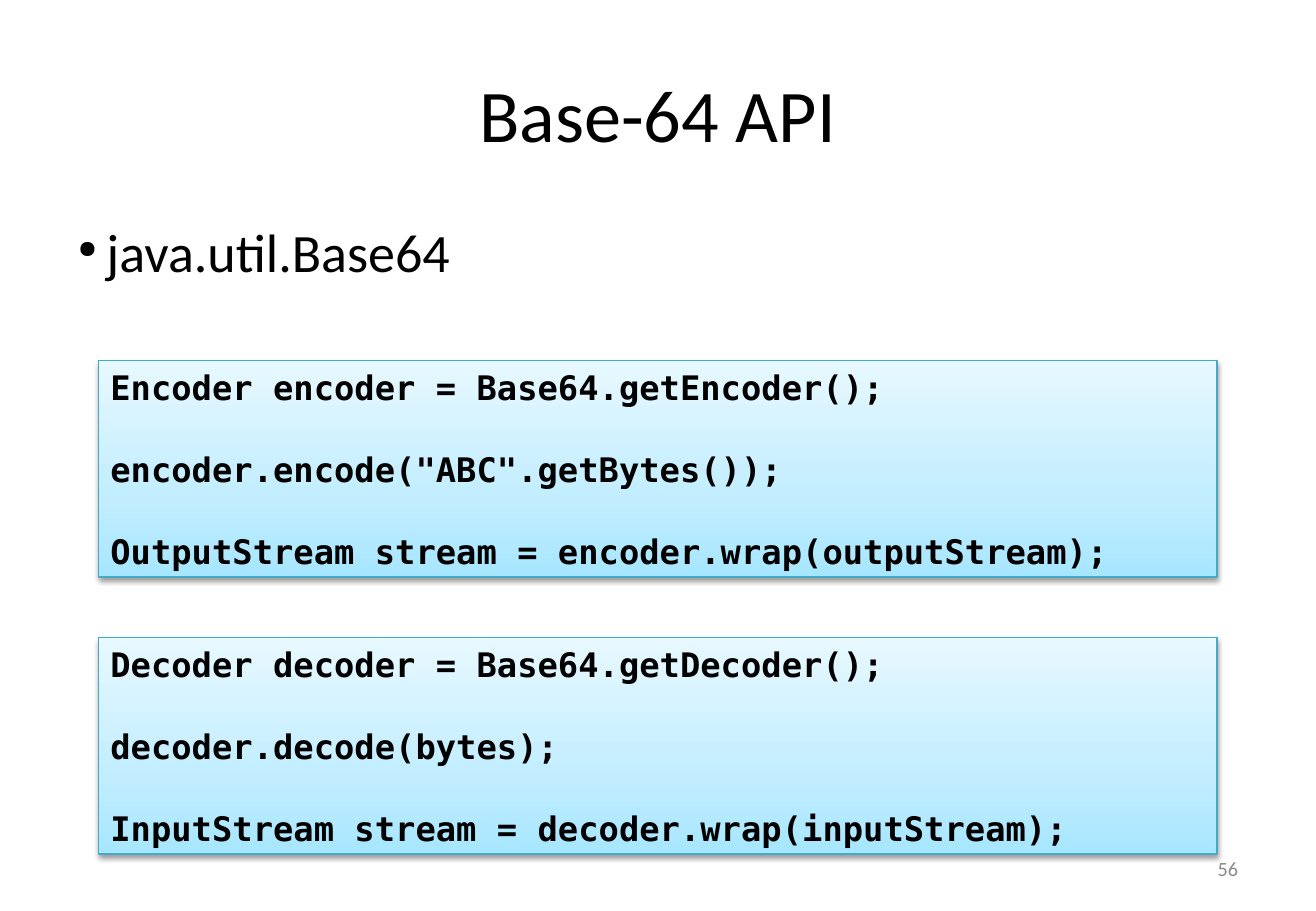
from lxml import etree
from pptx import Presentation
from pptx.dml.color import RGBColor
from pptx.enum import shapes, text
from pptx.oxml import parse_xml
from pptx.util import Pt

NS = 'xmlns:a="http://schemas.openxmlformats.org/drawingml/2006/main"'


def rgb(value):
    return RGBColor.from_string(value)


def write(p, content, color="000000", **font):
    r = p.add_run()
    r.text = content
    r.font.color.rgb = rgb(color)
    for name, value in font.items():
        setattr(r.font, name, value)


prs = Presentation()
prs.slide_width, prs.slide_height = Pt(780), Pt(540)
s = prs.slides.add_slide(prs.slide_layouts[5])

title = s.shapes.title
title.left, title.top, title.width, title.height = Pt(39), Pt(21.6), Pt(702), Pt(90)
title.text_frame.vertical_anchor = text.MSO_ANCHOR.MIDDLE
p = title.text_frame.paragraphs[0]
p.alignment = text.PP_ALIGN.CENTER
write(p, "Base-64 API", size=Pt(44), name="Calibri")

body = s.shapes.add_textbox(Pt(39), Pt(126), Pt(702), Pt(394))
body.text_frame.word_wrap = True
p = body.text_frame.paragraphs[0]
pPr = p._p.get_or_add_pPr()
pPr.set("marL", str(Pt(17)))
pPr.set("indent", str(Pt(-17)))
pPr.append(parse_xml(f'<a:buSzPct {NS} val="45000"/>'))
pPr.append(parse_xml(f'<a:buChar {NS} char="●"/>'))
write(p, "java.util.Base64", size=Pt(32), name="Calibri")

code_boxes = [
    (213.8, ["Encoder encoder = Base64.getEncoder();",
             'encoder.encode("ABC".getBytes());',
             "OutputStream stream = encoder.wrap(outputStream);"]),
    (378, ["Decoder decoder = Base64.getDecoder();",
           "decoder.decode(bytes);",
           "InputStream stream = decoder.wrap(inputStream);"]),
]
stops = [(0, "A7E6FF"), (35, "C1EDFF"), (100, "E7F8FF")]
gradient = "".join(
    f'<a:gs pos="{pos * 1000}"><a:srgbClr val="{color}"/></a:gs>' for pos, color in stops)
shadow = (f'<a:outerShdw {NS} blurRad="{Pt(3.1)}" dist="{Pt(1.6)}" dir="5400000" rotWithShape="0">'
          '<a:srgbClr val="000000"><a:alpha val="38000"/></a:srgbClr></a:outerShdw>')

for top, lines in code_boxes:
    sp = s.shapes.add_shape(shapes.MSO_SHAPE.RECTANGLE, Pt(58.3), Pt(top), Pt(663.1), Pt(128.2))
    sp.fill.gradient()
    sp.fill.gradient_angle = 90
    gs_list = sp._element.spPr.xpath(".//a:gsLst")[0]
    gs_list.getparent().replace(gs_list, parse_xml(f"<a:gsLst {NS}>{gradient}</a:gsLst>"))
    sp.line.color.rgb = rgb("46AAC5")
    sp.line.width = Pt(0.75)
    sp.shadow.inherit = False
    sp._element.spPr.xpath("./a:effectLst")[0].append(etree.fromstring(shadow))
    tf = sp.text_frame
    tf.word_wrap = True
    tf.vertical_anchor = text.MSO_ANCHOR.TOP
    for i, line in enumerate(lines):
        p = tf.add_paragraph() if i else tf.paragraphs[0]
        p.alignment = text.PP_ALIGN.LEFT
        p.space_before = Pt(24.7 if i else 0)
        write(p, line, size=Pt(20), name="DejaVu Sans Mono", bold=True)

number = s.shapes.add_textbox(Pt(558.7), Pt(500.4), Pt(182.2), Pt(28.8))
number.text_frame.word_wrap = True
number.text_frame.vertical_anchor = text.MSO_ANCHOR.MIDDLE
p = number.text_frame.paragraphs[0]
p.alignment = text.PP_ALIGN.RIGHT
write(p, "56", "8C8C8C", size=Pt(12), name="Calibri")

prs.save("out.pptx")
